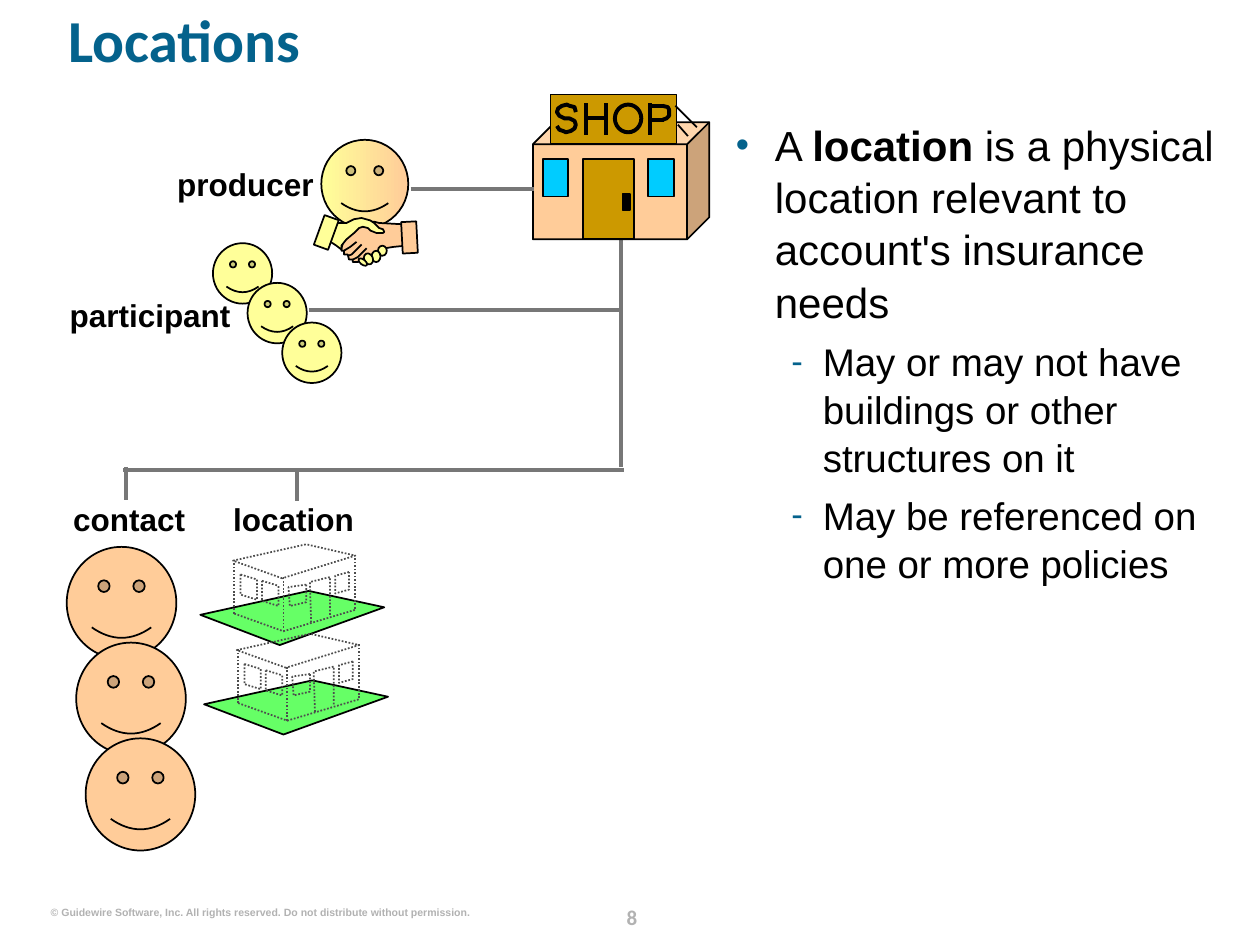
from dataclasses import dataclass
from typing import NamedTuple, Optional

from lxml.etree import SubElement
from pptx import Presentation
from pptx.dml.color import RGBColor
from pptx.enum.dml import MSO_LINE_DASH_STYLE as Dash
from pptx.enum.shapes import MSO_CONNECTOR as Link, MSO_SHAPE as Kind
from pptx.enum.text import PP_ALIGN as Align
from pptx.oxml.ns import qn
from pptx.util import Inches, Pt


@dataclass(frozen=True)
class Theme:
    blue: str = "04628C"
    black: str = "000000"
    gray: str = "777777"
    pale: str = "B2B2B2"
    dark: str = "4D4D4D"
    skin: str = "FFCC99"
    lemon: str = "FFFF99"
    gold: str = "CC9900"
    sky: str = "00CCFF"
    grass: str = "66FF66"
    thin: float = 1
    thick: float = 2.25
    head: float = 34
    body: float = 24
    sub: float = 22
    label: float = 18
    page: float = 12
    legal: float = 6
    sans: str = "Arial"
    title: str = "Calibri"


T = Theme()


class Box(NamedTuple):
    x: float
    y: float
    w: float
    h: float


class Part(NamedTuple):
    kind: Kind
    box: Box
    fill: Optional[str] = None
    turn: float = 0
    wide: float = T.thin


class Label(NamedTuple):
    text: str
    box: Box
    size: float = T.label
    color: str = T.black
    align: Align = Align.RIGHT
    font: str = T.sans
    wrap: bool = True


class Item(NamedTuple):
    runs: tuple
    size: float
    mark: str
    left: float
    hang: float
    gap: float
    level: int


def rgb(code: str) -> RGBColor:
    return RGBColor.from_string(code)


def style(shape, fill: Optional[str], color: str, wide: float) -> None:
    shape.shadow.inherit = False
    if fill:
        shape.fill.solid()
        shape.fill.fore_color.rgb = rgb(fill)
    else:
        shape.fill.background()
    shape.line.color.rgb = rgb(color)
    shape.line.width = Pt(wide)


def put(shapes, part: Part):
    shape = shapes.add_shape(part.kind, *map(Inches, part.box))
    style(shape, part.fill, T.black, part.wide)
    shape.rotation = part.turn
    if part.kind == Kind.SMILEY_FACE:
        shape.adjustments[0] = 0.093
    return shape


def link(shapes, ends: tuple, color: str = T.gray, wide: float = T.thick):
    line = shapes.add_connector(Link.STRAIGHT, *map(Inches, ends))
    line.line.color.rgb = rgb(color)
    line.line.width = Pt(wide)
    SubElement(line._element.spPr, qn("a:effectLst"))
    return line


def trace(shapes, dots: list, fill: Optional[str] = None, color: str = T.black,
          wide: float = T.thin, close: bool = False, dx: float = 0, dy: float = 0):
    """Draw an outline through dots, moved by dx and dy."""
    first, *rest = [(Inches(x + dx), Inches(y + dy)) for x, y in dots]
    pen = shapes.build_freeform(*first)
    pen.add_line_segments(rest, close=close)
    shape = pen.convert_to_shape()
    style(shape, fill, color, wide)
    return shape


def frame(shapes, box: Box, wrap: bool = True):
    text = shapes.add_textbox(*map(Inches, box)).text_frame
    text.margin_left = text.margin_right = text.margin_top = text.margin_bottom = 0
    text.word_wrap = wrap
    return text


def write(shapes, label: Label):
    text = frame(shapes, label.box, label.wrap)
    text.text = label.text
    para = text.paragraphs[0]
    para.alignment = label.align
    font = para.runs[0].font
    font.name, font.size, font.bold = label.font, Pt(label.size), True
    font.color.rgb = rgb(label.color)
    return para


def bullets(shapes, box: Box, items: list) -> None:
    text = frame(shapes, box)
    for i, item in enumerate(items):
        para = text.add_paragraph() if i else text.paragraphs[0]
        para.level = item.level
        props = para._p.get_or_add_pPr()
        props.set("marL", str(Inches(item.left)))
        props.set("indent", str(-Inches(item.hang)))
        SubElement(SubElement(props, qn("a:buClr")), qn("a:srgbClr"), val=T.blue)
        SubElement(props, qn("a:buSzPct"), val="90000")
        SubElement(props, qn("a:buFont"), typeface=T.sans)
        SubElement(props, qn("a:buChar"), char=item.mark)
        para.line_spacing = 1.04
        para.space_before = Pt(item.gap)
        for words, bold in item.runs:
            run = para.add_run()
            run.text = words
            run.font.name, run.font.size, run.font.bold = T.sans, Pt(item.size), bold
            run.font.color.rgb = rgb(T.black)


def crowd(shapes, box: Box, dx: float, dy: float, fill: str) -> None:
    """Stack three faces, each moved by dx and dy."""
    for i in range(3):
        spot = box._replace(x=box.x + i * dx, y=box.y + i * dy)
        put(shapes, Part(Kind.SMILEY_FACE, spot, fill))


def shop(shapes) -> None:
    cube = put(shapes, Part(Kind.CUBE, Box(4.23, 0.97, 1.4, 0.93), T.skin))
    cube.adjustments[0] = 0.189
    for box, fill in [(Box(4.63, 1.26, 0.4, 0.64), T.gold), (Box(4.31, 1.26, 0.2, 0.3), T.sky),
                      (Box(5.14, 1.26, 0.21, 0.3), T.sky), (Box(4.94, 1.54, 0.06, 0.13), T.black),
                      (Box(4.37, 0.75, 1, 0.39), T.gold)]:
        put(shapes, Part(Kind.RECTANGLE, box, fill))
    for ends in [(5.36, 0.84, 5.53, 1.01), (5.38, 0.99, 5.46, 1.08)]:
        link(shapes, ends, T.black, T.thin)
    for ends in [(4.65, 0.82, 4.65, 1.07), (4.81, 0.82, 4.81, 1.07), (4.64, 0.94, 4.82, 0.94),
                 (5.16, 0.82, 5.16, 1.07), (5.16, 0.84, 5.27, 0.84), (5.16, 0.95, 5.27, 0.95)]:
        link(shapes, ends, T.black)
    put(shapes, Part(Kind.OVAL, Box(4.88, 0.83, 0.21, 0.22), wide=T.thick))
    bowl = [(5.26, 0.84), (5.3, 0.85), (5.31, 0.87), (5.31, 0.92), (5.29, 0.94), (5.26, 0.95)]
    curl = [(4.57, 0.89), (4.56, 0.85), (4.52, 0.84), (4.5, 0.83), (4.46, 0.84), (4.43, 0.86),
            (4.42, 0.89), (4.44, 0.92), (4.48, 0.94), (4.52, 0.94), (4.56, 0.96), (4.57, 0.99),
            (4.56, 1.02), (4.53, 1.04), (4.49, 1.05), (4.47, 1.04), (4.44, 1.03), (4.42, 1)]
    for dots in (bowl, curl):
        trace(shapes, dots, wide=T.thick)


def lot(shapes, dx: float, dy: float) -> None:
    """Draw a green plot with a dotted building on it."""
    trace(shapes, [(3.05, 4.82), (2.22, 5.12), (1.59, 4.88), (2.45, 4.69)],
          T.grass, close=True, dx=dx, dy=dy)
    for x, y in [(2.25, 5.01), (1.86, 4.87), (2.82, 4.83)]:
        edge = link(shapes, (x + dx, y + dy, x + dx, y + dy - 0.43), T.dark, T.thin)
        edge.line.dash_style = Dash.ROUND_DOT
    roof = [(2.24, 4.59), (1.85, 4.45), (2.43, 4.32), (2.82, 4.41)]
    panes = [[(x, y), (x + 0.13, y + 0.04), (x + 0.13, y + 0.2), (x, y + 0.16)]
             for x, y in [(2.08, 4.61), (1.91, 4.56)]]
    panes += [[(2.43, 4.64), (2.29, 4.66), (2.3, 4.81), (2.43, 4.78)],
              [(2.77, 4.54), (2.66, 4.57), (2.66, 4.71), (2.77, 4.68)]]
    door = [(2.47, 4.94), (2.46, 4.62), (2.62, 4.58), (2.62, 4.89)]
    base = [(1.86, 4.87), (2.25, 5.01), (2.82, 4.84)]
    for dots in [roof, *panes, door, base]:
        wall = trace(shapes, dots, color=T.dark, close=dots not in (door, base), dx=dx, dy=dy)
        wall.line.dash_style = Dash.ROUND_DOT


def agent(shapes) -> None:
    """Draw the producer's face above a handshake."""
    face = put(shapes, Part(Kind.SMILEY_FACE, Box(2.55, 1.11, 0.69, 0.7)))
    face.fill.gradient()
    face.fill.gradient_angle = 0
    for stop, color in zip(face.fill.gradient_stops, (T.lemon, T.skin)):
        stop.color.rgb = rgb(color)
    right = [(3.19, 1.78), (3.01, 1.77), (2.97, 1.76), (2.85, 1.76), (2.72, 1.82), (2.67, 1.88),
             (2.79, 1.84), (2.8, 1.85), (2.73, 1.9), (2.71, 1.97), (2.71, 1.99), (2.73, 1.99),
             (2.73, 2.02), (2.76, 2.02), (2.77, 2.06), (2.8, 2.06), (2.8, 2.08), (2.84, 2.08),
             (2.88, 2.06), (2.97, 2.01), (3.06, 1.97), (3.12, 1.96), (3.22, 1.95), (3.21, 1.89)]
    left = [(2.67, 1.77), (2.72, 1.77), (2.75, 1.77), (2.81, 1.74), (2.87, 1.73), (2.94, 1.75),
            (2.97, 1.77), (3.01, 1.81), (3.04, 1.82), (3.05, 1.84), (3.04, 1.85), (2.99, 1.85),
            (2.94, 1.83), (2.92, 1.81), (2.88, 1.8), (2.85, 1.81), (2.81, 1.85), (2.75, 1.9),
            (2.71, 1.95), (2.71, 1.98), (2.67, 1.95), (2.64, 1.93), (2.62, 1.92), (2.63, 1.87)]
    trace(shapes, right, T.skin, close=True)
    trace(shapes, left, T.lemon, close=True)
    for part in [Part(Kind.RECTANGLE, Box(3.19, 1.76, 0.12, 0.25), T.skin, 357),
                 Part(Kind.RECTANGLE, Box(2.53, 1.72, 0.12, 0.25), T.lemon, 19.9),
                 Part(Kind.OVAL, Box(3, 1.95, 0.07, 0.08), T.lemon),
                 Part(Kind.OVAL, Box(2.95, 1.99, 0.07, 0.09), T.lemon),
                 Part(Kind.OVAL, Box(2.89, 2.01, 0.07, 0.09), T.lemon, 336.5),
                 Part(Kind.OVAL, Box(2.86, 2.04, 0.04, 0.08), T.lemon, 308.3)]:
        put(shapes, part)
    trace(shapes, [(2.73, 1.99), (2.78, 1.96), (2.83, 1.92)])
    trace(shapes, [(2.76, 2.03), (2.79, 2.02), (2.82, 1.99), (2.87, 1.94)])
    trace(shapes, [(2.8, 2.06), (2.84, 2.04), (2.87, 2.01), (2.91, 1.97)], T.lemon)


def main() -> None:
    deck = Presentation()
    deck.slide_width, deck.slide_height = Inches(10), Inches(7.5)
    shapes = deck.slides.add_slide(deck.slide_layouts[6]).shapes

    write(shapes, Label("8", Box(4.73, 7.13, 0.57, 0.25), T.page, T.pale,
                        Align.CENTER, T.title)).line_spacing = Pt(18)
    write(shapes, Label("© Guidewire Software, Inc. All rights reserved. "
                        "Do not distribute without permission.",
                        Box(0.4, 7.19, 3.33, 0.1), T.legal, T.pale, wrap=False))
    write(shapes, Label("Locations", Box(0.54, 0.13, 9.1, 0.81), T.head, T.blue,
                        Align.LEFT, T.title)).line_spacing = 0.8
    bullets(shapes, Box(5.84, 0.93, 3.82, 5.68), [
        Item((("A ", False), ("location", True),
              (" is a physical location relevant to account's insurance needs", False)),
             T.body, "•", 0.31, 0.31, 0, 0),
        *(Item(((words, False),), T.sub, "-", 0.69, 0.25, 5.5, 1)
          for words in ("May or may not have buildings or other structures on it",
                        "May be referenced on one or more policies"))])

    link(shapes, (4.93, 3.71, 4.93, 1.57))
    crowd(shapes, Box(1.69, 1.93, 0.47, 0.48), 0.275, 0.315, T.lemon)
    shop(shapes.add_group_shape().shapes)
    crowd(shapes, Box(0.53, 4.34, 0.87, 0.89), 0.075, 0.76, T.skin)
    for dx, dy in [(0, 0), (0.03, 0.71)]:
        lot(shapes.add_group_shape().shapes, dx, dy)
    agent(shapes.add_group_shape().shapes)
    for ends in [(1, 3.71, 1, 3.97), (2.36, 3.73, 2.36, 3.98), (3.26, 1.5, 4.24, 1.5),
                 (2.45, 2.46, 4.93, 2.46), (0.98, 3.73, 4.95, 3.73)]:
        link(shapes, ends)
    for label in [Label("contact", Box(0.5, 3.97, 1.05, 0.3), align=Align.CENTER),
                  Label("location", Box(1.69, 3.97, 1.28, 0.3), align=Align.CENTER),
                  Label("producer", Box(1.21, 1.31, 1.28, 0.3)),
                  Label("participant", Box(0.55, 2.35, 1.28, 0.3))]:
        write(shapes, label)
    deck.save("out.pptx")


if __name__ == "__main__":
    main()
